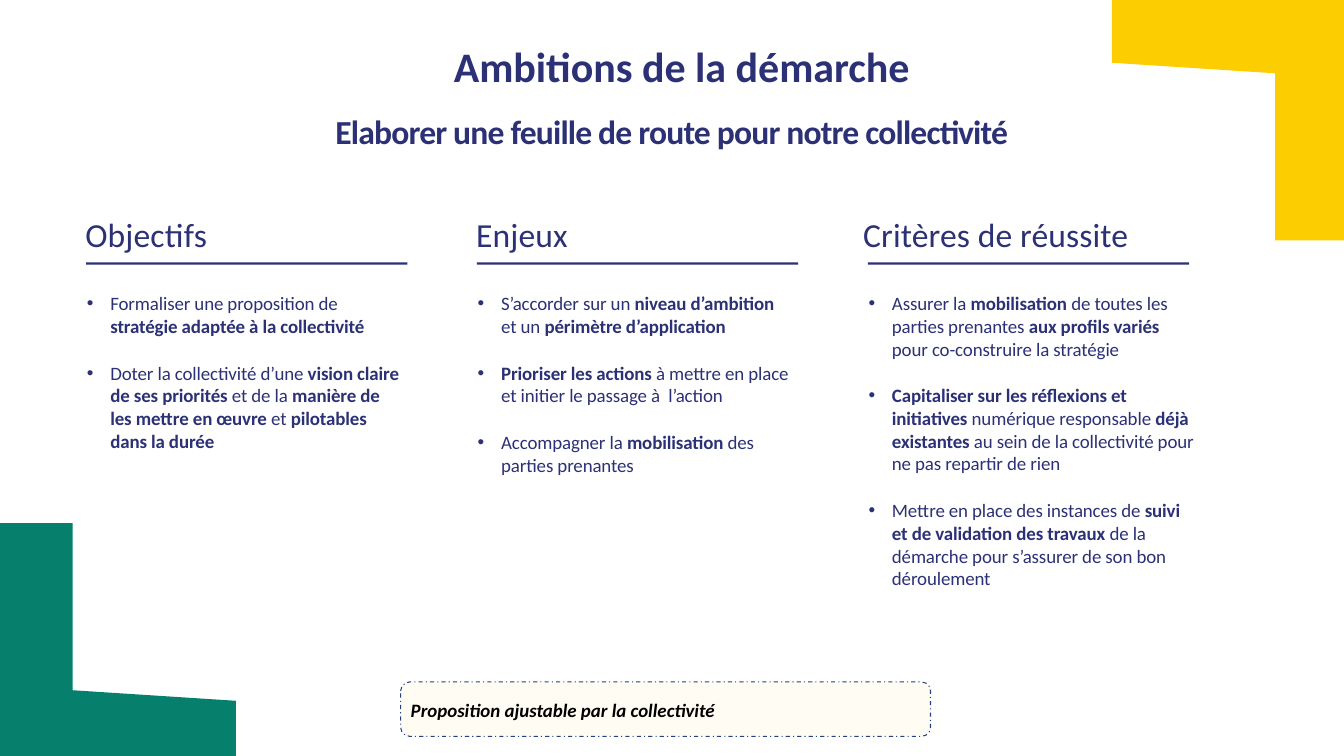
from dataclasses import dataclass

from lxml.etree import SubElement
from pptx import Presentation
from pptx.dml.color import RGBColor
from pptx.enum.dml import MSO_LINE
from pptx.enum.shapes import MSO_SHAPE
from pptx.enum.text import MSO_ANCHOR, MSO_AUTO_SIZE, PP_ALIGN
from pptx.oxml.ns import qn
from pptx.util import Inches, Pt

NAVY = RGBColor(0x2C, 0x31, 0x76)
YELLOW = RGBColor(0xFC, 0xCD, 0x00)
GREEN = RGBColor(0x06, 0x80, 0x6C)
CREAM = RGBColor(0xFF, 0xFD, 0xF3)
BORDER_BLUE = RGBColor(0x27, 0x40, 0x84)
BLACK = RGBColor(0x00, 0x00, 0x00)

FIRST_LEFT = 1.13
COLUMN_STEP = 5.17
BULLET_GAP = 23  # points between two bullets


@dataclass(frozen=True)
class Column:
    heading: str
    bullets: tuple[str, ...]  # ** switches bold on and off
    width: float
    height: float
    heading_shift: float = 0


@dataclass(frozen=True)
class Corner:
    points: tuple[tuple[float, float], ...]
    color: RGBColor


CORNERS = (
    Corner(((17.78, 0), (14.71, 0), (14.71, 0.83), (16.87, 0.97),
            (16.87, 3.18), (17.78, 3.18)), YELLOW),
    Corner(((0.96, 6.92), (0, 6.92), (0, 10), (3.12, 10),
            (3.12, 9.27), (0.96, 9.13)), GREEN),
)

COLUMNS = (
    Column("Objectifs", (
        "Formaliser une proposition de **stratégie adaptée à la collectivité**",
        "Doter la collectivité d’une **vision claire de ses priorités **et de la "
        "**manière de les mettre en œuvre **et **pilotables dans la durée**",
    ), 4.16, 2.48),
    Column("Enjeux", (
        "S’accorder sur un **niveau d’ambition **et un **périmètre d’application**",
        "**Prioriser les actions **à mettre en place et initier le passage à  l’action",
        "Accompagner la **mobilisation** des parties prenantes",
    ), 4.16, 2.49),
    Column("Critères de réussite", (
        "Assurer la **mobilisation **de toutes les parties prenantes "
        "**aux profils variés **pour co-construire la stratégie",
        "**Capitaliser sur les réflexions et initiatives **numérique responsable "
        "**déjà existantes **au sein de la collectivité pour ne pas repartir de rien",
        "Mettre en place des instances de **suivi et de validation des travaux** "
        "de la démarche pour s’assurer de son bon déroulement",
    ), 4.33, 4.01, -0.05),
)


def place(shape, left: float, top: float, width: float, height: float) -> None:
    shape.left, shape.top = Inches(left), Inches(top)
    shape.width, shape.height = Inches(width), Inches(height)


def prepare_frame(shape, top_inset: float = 0.02, side_inset: float = 0,
                  anchor=MSO_ANCHOR.TOP):
    frame = shape.text_frame
    frame.word_wrap = True
    frame.auto_size = MSO_AUTO_SIZE.NONE
    frame.vertical_anchor = anchor
    frame.margin_left = frame.margin_right = Inches(side_inset)
    frame.margin_top, frame.margin_bottom = Inches(top_inset), 0
    return frame


def add_span(para, text: str, *, size: float, color=NAVY, bold=False,
             italic=False, spacing: float = 0) -> None:
    """Add a run; spacing is the letter spacing in points."""
    span = para.add_run()
    span.text = text
    font = span.font
    font.name, font.size = "Calibri", Pt(size)
    font.bold, font.italic = bold, italic
    font.color.rgb = color
    if spacing:
        span._r.get_or_add_rPr().set("spc", str(round(spacing * 100)))


def add_line_of_text(shape, text: str, align=PP_ALIGN.LEFT, **style) -> None:
    para = prepare_frame(shape).paragraphs[0]
    para.alignment = align
    add_span(para, text, **style)


def add_bullet(para) -> None:
    properties = para._p.get_or_add_pPr()
    properties.set("marL", str(Inches(0.33)))
    properties.set("indent", str(Inches(-0.31)))
    SubElement(properties, qn("a:buFont"), typeface="Arial")
    SubElement(properties, qn("a:buChar"), char="•")


def add_text_box(page, left: float, top: float, width: float, height: float):
    return page.shapes.add_textbox(
        Inches(left), Inches(top), Inches(width), Inches(height))


def draw_corner(page, corner: Corner) -> None:
    points = [(Inches(x), Inches(y)) for x, y in corner.points]
    builder = page.shapes.build_freeform(*points[0])
    builder.add_line_segments(points[1:], close=True)
    shape = builder.convert_to_shape()
    shape.shadow.inherit = False
    shape.fill.solid()
    shape.fill.fore_color.rgb = corner.color
    shape.line.fill.background()


def draw_column(page, column: Column, left: float) -> None:
    heading = add_text_box(page, left + column.heading_shift, 2.81, 5.5, 0.55)
    add_line_of_text(heading, column.heading, size=32, spacing=0.1)

    rule = page.shapes.add_shape(MSO_SHAPE.RECTANGLE, Inches(left + 0.01),
                                 Inches(3.47), Inches(4.25), Inches(0.03))
    rule.shadow.inherit = False
    rule.fill.solid()
    rule.fill.fore_color.rgb = NAVY
    rule.line.fill.background()

    body = add_text_box(page, left, 3.85, column.width, column.height)
    frame = prepare_frame(body, top_inset=0.01)
    for index, bullet in enumerate(column.bullets):
        para = frame.add_paragraph() if index else frame.paragraphs[0]
        add_bullet(para)
        if index:
            para.space_before = Pt(BULLET_GAP)
        for part, text in enumerate(bullet.split("**")):
            if text:
                add_span(para, text, size=18, bold=part % 2 == 1, spacing=-0.1)


def draw_note(page, text: str) -> None:
    note = page.shapes.add_shape(MSO_SHAPE.ROUNDED_RECTANGLE, Inches(5.3),
                                 Inches(9.02), Inches(7.01), Inches(0.72))
    note.shadow.inherit = False
    note.fill.solid()
    note.fill.fore_color.rgb = CREAM
    note.line.color.rgb = BORDER_BLUE
    note.line.width = Pt(1)
    note.line.dash_style = MSO_LINE.DASH_DOT
    frame = prepare_frame(note, side_inset=0.1, anchor=MSO_ANCHOR.MIDDLE)
    para = frame.paragraphs[0]
    para.alignment = PP_ALIGN.LEFT
    add_span(para, text, size=18, color=BLACK, bold=True, italic=True)


def main() -> None:
    deck = Presentation()
    deck.slide_width, deck.slide_height = Inches(17.78), Inches(10)
    page = deck.slides.add_slide(deck.slide_layouts[5])

    for corner in CORNERS:
        draw_corner(page, corner)

    title = page.shapes.title
    place(title, 1.09, 1.45, 15.59, 0.74)
    add_line_of_text(title, "Elaborer une feuille de route pour notre collectivité",
                     PP_ALIGN.CENTER, size=32, bold=True, spacing=-0.8)

    banner = add_text_box(page, 1.98, 0.51, 14.08, 0.69)
    add_line_of_text(banner, "Ambitions de la démarche",
                     PP_ALIGN.CENTER, size=40, bold=True)

    for index, column in enumerate(COLUMNS):
        draw_column(page, column, FIRST_LEFT + index * COLUMN_STEP)

    draw_note(page, "Proposition ajustable par la collectivité")
    deck.save("out.pptx")


if __name__ == "__main__":
    main()
